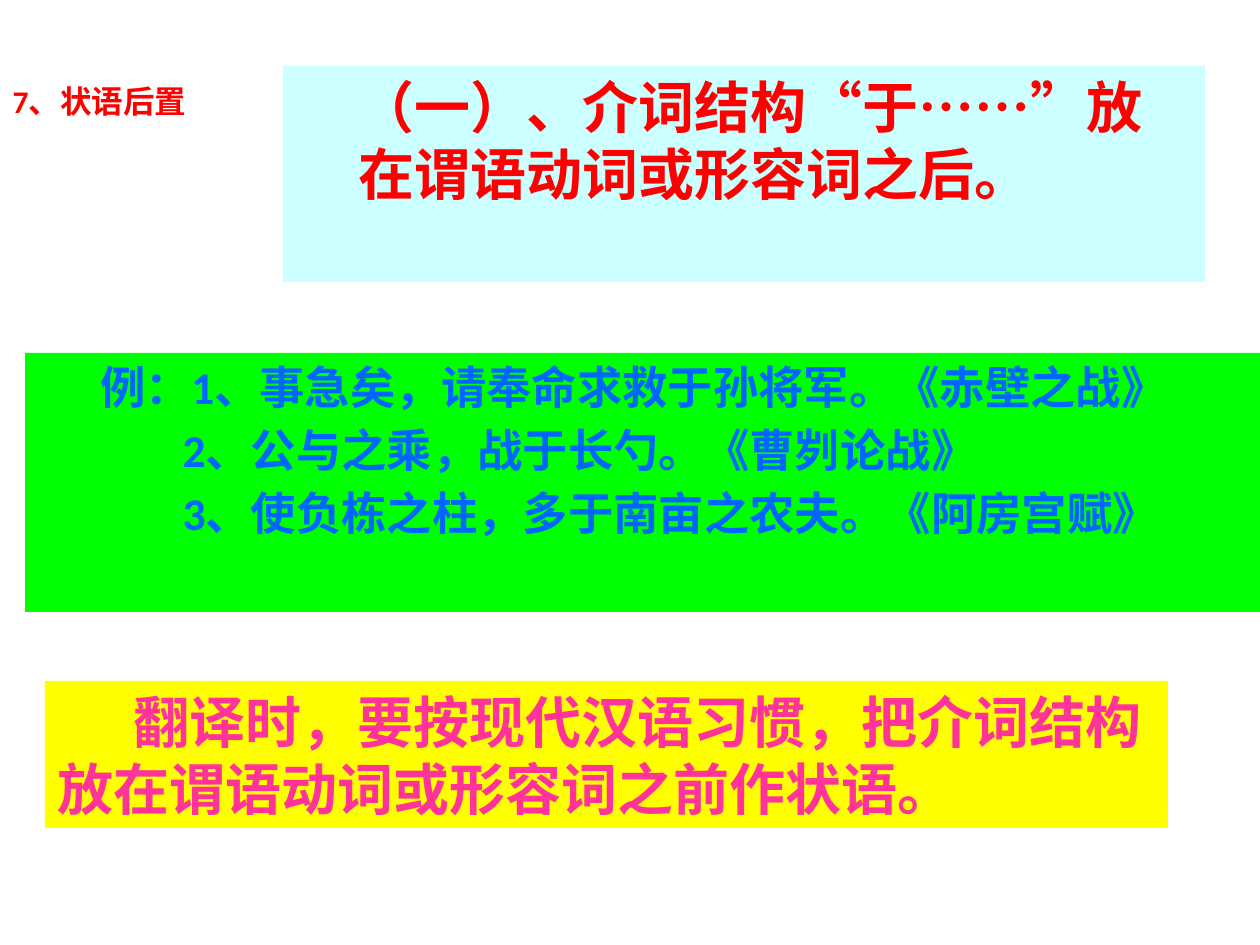
from pptx import Presentation
from pptx.dml.color import RGBColor
from pptx.enum.shapes import MSO_SHAPE
from pptx.enum.text import MSO_ANCHOR, MSO_AUTO_SIZE, PP_ALIGN
from pptx.oxml import parse_xml
from pptx.oxml.ns import nsdecls
from pptx.util import Pt

RECT = MSO_SHAPE.RECTANGLE
TOP = MSO_ANCHOR.TOP
FIXED = MSO_AUTO_SIZE.NONE
LEFT = PP_ALIGN.LEFT
PX = 914400 // 126
HUES = {"red": "FF0000", "blue": "0066FF", "pink": "FF3399",
        "green": "00FF00", "yellow": "FFFF00", "cyan": "CCFFFF"}


def place(shape, x, y, w, h, fill=None):
    shape.left, shape.top = x * PX, y * PX
    shape.width, shape.height = w * PX, h * PX
    if fill:
        shape.fill.solid()
        shape.fill.fore_color.rgb = RGBColor.from_string(HUES[fill])
    frame = shape.text_frame
    frame.word_wrap = True
    frame.auto_size = FIXED
    frame.vertical_anchor = TOP


def write(shape, text, size, hue, face, margins=(0,), first=0):
    """Fill the shape with one paragraph a line; margins and first are px."""
    frame = shape.text_frame
    frame.text = text
    for i, para in enumerate(frame.paragraphs):
        props = para._p.get_or_add_pPr()
        props.set("marL", str(margins[min(i, len(margins) - 1)] * PX))
        props.set("indent", str(first * PX))
        props.append(parse_xml(f"<a:buNone {nsdecls('a')}/>"))
        para.alignment = LEFT
        para.space_before = Pt(5 if i else 0)
        for run in para.runs:
            font = run.font
            font.name, font.size, font.bold = face, Pt(size), True
            font.color.rgb = RGBColor.from_string(HUES[hue])


deck = Presentation()
deck.slide_width, deck.slide_height = 1260 * PX, 945 * PX
slide = deck.slides.add_slide(deck.slide_layouts[1])

title = slide.shapes.title
place(title, 0, 76, 213, 50)
write(title, "7、状语后置", 18, "red", "Calibri")

body = slide.placeholders[1]
place(body, 25, 353, 1235, 259, "green")
lines = ["例：1、事急矣，请奉命求救于孙将军。《赤壁之战》",
         "2、公与之乘，战于长勺。《曹刿论战》",
         "3、使负栋之柱，多于南亩之农夫。《阿房宫赋》"]
write(body, "\n".join(lines), 25.9, "blue", "Calibri", margins=(63, 145))

notes = [
    ("翻译时，要按现代汉语习惯，把介词结构放在谓语动词或形容词之前作状语。",
     (45, 681, 1123, 147), "yellow", "pink", "Times New Roman", 0, 76),
    ("（一）、介词结构“于……”放在谓语动词或形容词之后。",
     (283, 66, 922, 216), "cyan", "red", "Calibri", 63, 0),
]
for text, area, fill, hue, face, margin, first in notes:
    panel = slide.shapes.add_shape(RECT, 0, 0, PX, PX)
    panel.shadow.inherit = False
    panel.line.fill.background()
    place(panel, *area, fill)
    write(panel, text, 32, hue, face, (margin,), first)

deck.save("out.pptx")
